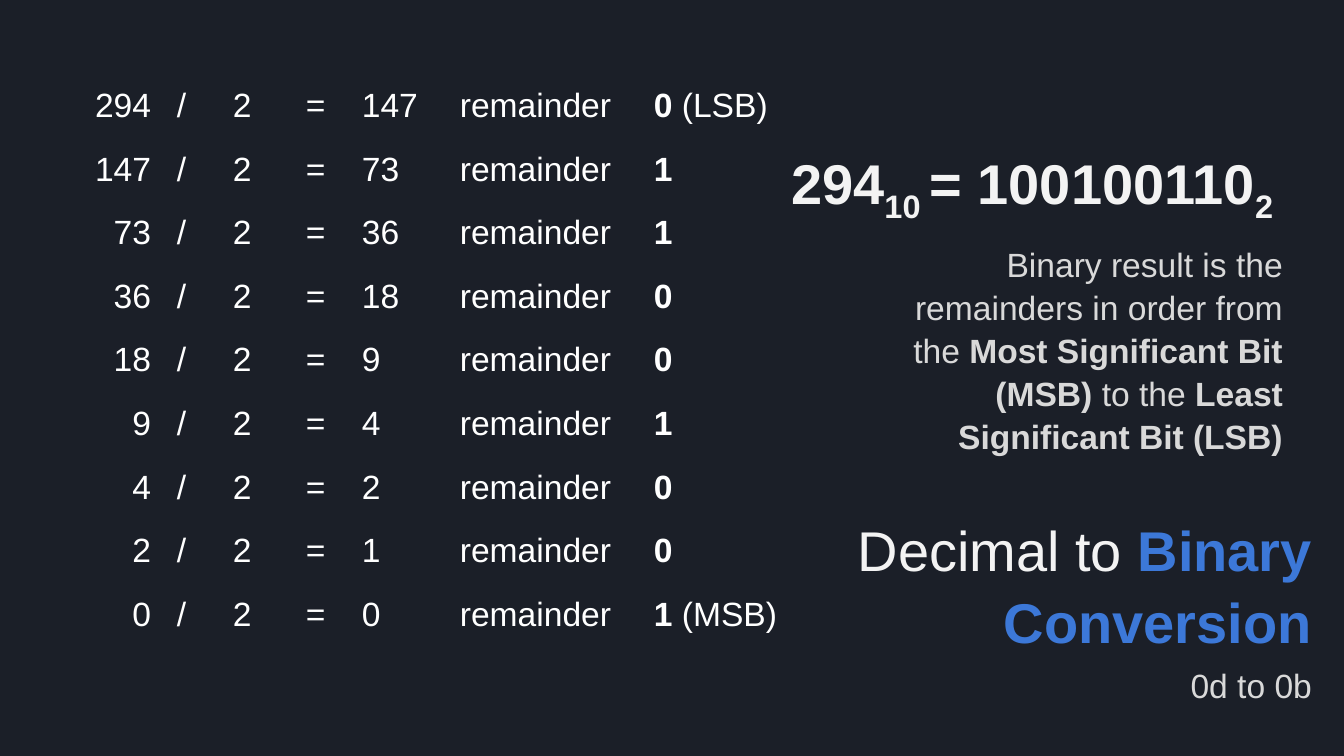
import pptx
import pptx.util
import pptx.dml.color
import pptx.enum.text
from dataclasses import dataclass

ALIGN = pptx.enum.text.PP_ALIGN
ANCHOR = pptx.enum.text.MSO_ANCHOR
EMU_PER_PX = 914400 / 134.4


def px(length):
    return pptx.util.Emu(round(length * EMU_PER_PX))


@dataclass(frozen=True)
class Theme:
    font: str = "Arial"
    background: str = "1B1F28"
    heading: str = "F3F3F3"
    accent: str = "3C78D8"
    muted: str = "D9D9D9"
    cell: str = "FFFFFF"
    heading_size: int = 30
    body_size: int = 18
    inset: int = 13
    line_spacing: float = 1.07
    plain_table: str = "{2D5ABB26-0587-4C30-8999-92F81FD0307C}"


class SlideBuilder:
    def __init__(self, deck, theme):
        self.theme = theme
        self.page = deck.slides.add_slide(deck.slide_layouts[5])
        fill = self.page.background.fill
        fill.solid()
        fill.fore_color.rgb = pptx.dml.color.RGBColor.from_string(theme.background)

    def add_spans(self, para, spans, size, color, align=ALIGN.LEFT):
        para.alignment = align
        for text, style in spans:
            span = para.add_run()
            span.text = text
            font = span.font
            font.name = self.theme.font
            font.size = pptx.util.Pt(size)
            font.bold = style.get("bold", False)
            font.color.rgb = pptx.dml.color.RGBColor.from_string(style.get("color", color))
            if style.get("subscript"):
                span._r.get_or_add_rPr().set("baseline", "-25000")

    def fill_box(self, box, place, spans, size, color, align, anchor=ANCHOR.TOP):
        box.left, box.top, box.width, box.height = map(px, place)
        frame = box.text_frame
        frame.word_wrap = True
        frame.auto_size = pptx.enum.text.MSO_AUTO_SIZE.NONE
        frame.vertical_anchor = anchor
        frame.margin_left = frame.margin_right = px(self.theme.inset)
        frame.margin_top = frame.margin_bottom = px(self.theme.inset)
        para = frame.paragraphs[0]
        para.line_spacing = self.theme.line_spacing
        self.add_spans(para, spans, size, color, align)

    def title(self, place, spans):
        self.fill_box(self.page.shapes.title, place, spans, self.theme.heading_size,
                      self.theme.heading, ALIGN.RIGHT, ANCHOR.BOTTOM)

    def text(self, place, spans, size, color, align=ALIGN.RIGHT):
        box = self.page.shapes.add_textbox(*map(px, place))
        self.fill_box(box, place, spans, size, color, align)

    def table(self, left, top, widths, row_height, rows):
        frame = self.page.shapes.add_table(len(rows), len(widths), px(left), px(top),
                                           px(sum(widths)), px(row_height * len(rows)))
        table = frame.table
        table.first_row = table.horz_banding = False
        table._tbl.tblPr[0].text = self.theme.plain_table
        for column, width in zip(table.columns, widths):
            column.width = px(width)
        for row_index, row in enumerate(rows):
            for column_index, spans in enumerate(row):
                cell = table.cell(row_index, column_index)
                cell.fill.background()
                cell.margin_left = cell.margin_right = px(self.theme.inset)
                cell.margin_top = cell.margin_bottom = px(self.theme.inset)
                align = ALIGN.RIGHT if column_index == 0 else ALIGN.LEFT
                self.add_spans(cell.text_frame.paragraphs[0], spans,
                               self.theme.body_size, self.theme.cell, align)


def division_rows():
    dividends = [294, 147, 73, 36, 18, 9, 4, 2, 0]
    quotients = [147, 73, 36, 18, 9, 4, 2, 1, 0]
    remainders = "011001001"
    bit_names = {0: "(LSB)", len(dividends) - 1: "(MSB)"}
    rows = []
    for index, (dividend, quotient, bit) in enumerate(zip(dividends, quotients, remainders)):
        row = [[(str(value), {})] for value in (dividend, "/", 2, "=", quotient, "remainder")]
        if index in bit_names:
            row.append([(bit + " ", {"bold": True}), (bit_names[index], {})])
        else:
            row.append([(bit, {"bold": True})])
        rows.append(row)
    return rows


def main():
    theme = Theme()
    deck = pptx.Presentation()
    deck.slide_width, deck.slide_height = px(1344), px(756)
    slide = SlideBuilder(deck, theme)
    bold = {"bold": True}
    subscript = {"bold": True, "subscript": True}

    slide.title((774, 563, 551, 105), [
        ("Decimal to ", {}),
        ("Binary Conversion", {"bold": True, "color": theme.accent}),
    ])
    slide.text((73, 649, 1252, 117), [("0d to 0b", {})], theme.body_size, theme.muted)
    slide.text((778, 130, 542, 117), [
        ("294", bold), ("10 ", subscript), ("= 100100110", bold), ("2", subscript),
    ], theme.heading_size, theme.heading, ALIGN.LEFT)
    slide.table(73, 74, [91, 56, 73, 56, 98, 194, 190], 56, division_rows())
    slide.text((847, 228, 449, 134), [
        ("Binary result is the remainders in order from the ", {}),
        ("Most Significant Bit (MSB)", bold),
        (" to the ", {}),
        ("Least Significant Bit (LSB)", bold),
    ], theme.body_size, theme.muted)
    deck.save("out.pptx")


if __name__ == "__main__":
    main()
